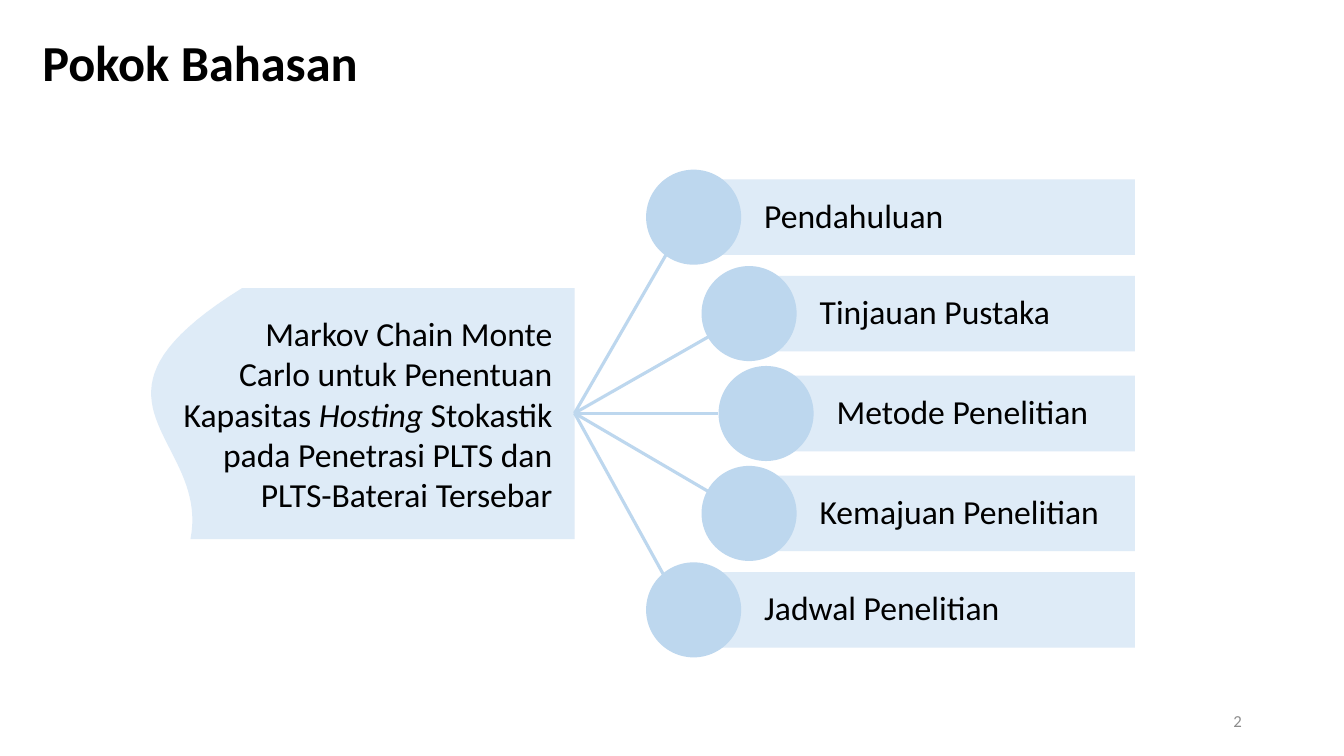
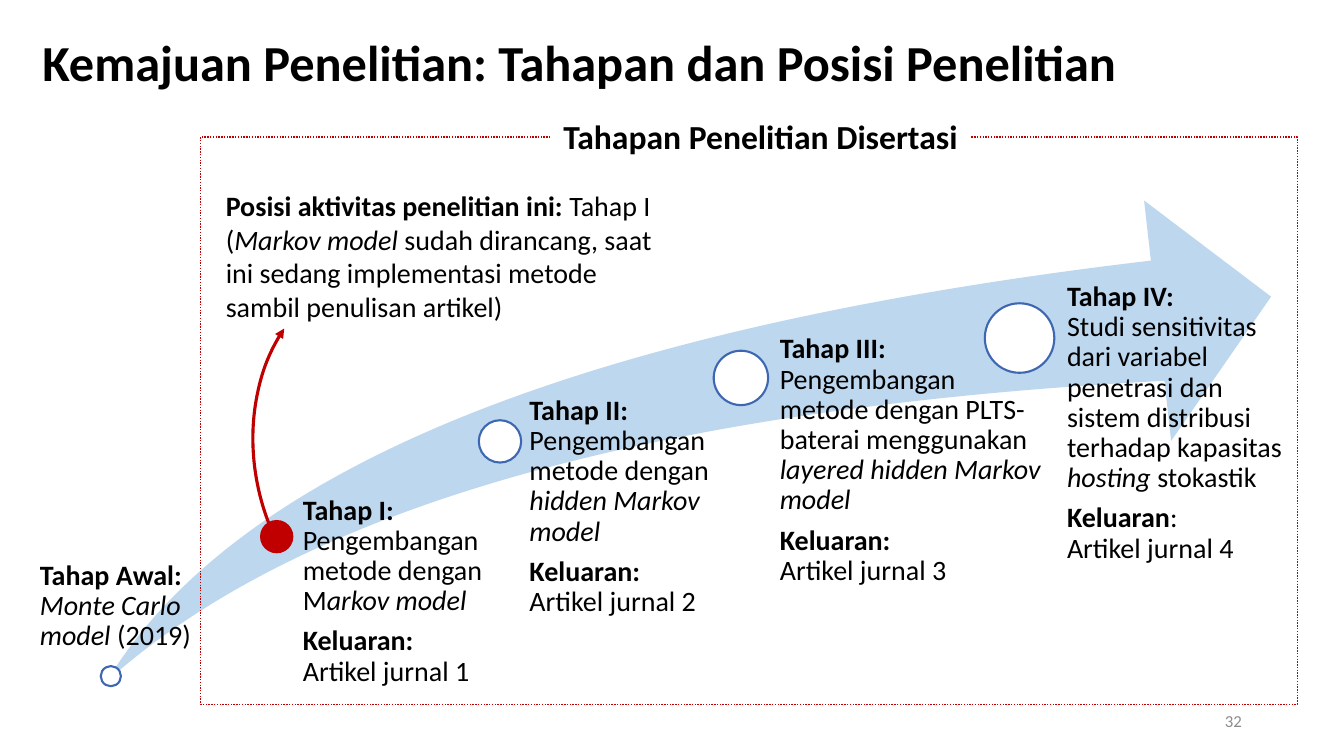
from dataclasses import dataclass
from math import cos, radians, sin
from typing import NamedTuple, Optional

from lxml.etree import SubElement
from pptx import Presentation
from pptx.dml.color import RGBColor
from pptx.enum.dml import MSO_LINE
from pptx.enum.shapes import MSO_CONNECTOR, MSO_SHAPE
from pptx.enum.text import MSO_ANCHOR, PP_ALIGN
from pptx.oxml.ns import qn
from pptx.util import Emu, Inches, Pt

COLUMNS = 40
SLIDE_WIDTH = Inches(13.33)
SLIDE_HEIGHT = Inches(7.5)
CELL = SLIDE_WIDTH / COLUMNS


@dataclass(frozen=True)
class Theme:
    font: str = "Calibri"
    ink: RGBColor = RGBColor(0x00, 0x00, 0x00)
    paper: RGBColor = RGBColor(0xFF, 0xFF, 0xFF)
    muted: RGBColor = RGBColor(0x8C, 0x8C, 0x8C)
    pale: RGBColor = RGBColor(0xDE, 0xEB, 0xF7)
    sky: RGBColor = RGBColor(0xBD, 0xD7, 0xEE)
    outline: RGBColor = RGBColor(0x3E, 0x67, 0xB2)
    accent: RGBColor = RGBColor(0xC0, 0x00, 0x00)
    title_size: int = 36
    heading_size: int = 24
    body_size: int = 20
    number_size: int = 12


THEME = Theme()


class Box(NamedTuple):
    column: float
    row: float
    width: float
    height: float


class Point(NamedTuple):
    column: float
    row: float


class Insets(NamedTuple):
    left: float = 0.3
    top: float = 0.15
    right: float = 0.3
    bottom: float = 0.15


class Span(NamedTuple):
    text: str
    bold: bool = False
    italic: bool = False


@dataclass(frozen=True)
class TextStyle:
    size: int = THEME.body_size
    color: RGBColor = THEME.ink
    align: PP_ALIGN = PP_ALIGN.LEFT
    anchor: MSO_ANCHOR = MSO_ANCHOR.TOP
    spacing: float = 1.0
    after: float = 0
    insets: Insets = Insets()


@dataclass(frozen=True)
class Topic:
    label: str
    angle: float
    spoke_end: Point


@dataclass(frozen=True)
class Stage:
    marker: Point
    diameter: float
    box: Box
    paragraphs: tuple
    current: bool = False


TITLE_BOX = Box(0.96, 0.63, 38, 2.61)
NUMBER_BOX = Box(28.26, 20.85, 9, 1.2)
TITLE_STYLE = TextStyle(THEME.title_size, anchor=MSO_ANCHOR.MIDDLE, spacing=0.9)
NUMBER_STYLE = TextStyle(THEME.number_size, THEME.muted, PP_ALIGN.RIGHT, MSO_ANCHOR.MIDDLE)

HUB = Point(17.1, 12.3)
RING_CENTRE = Point(13.8, 12.31)
RING_RADIUS = 9
BAR_RIGHT = 33.78
BAR_HEIGHT = 2.25
DOT_DIAMETER = 2.83
TOPICS = (
    Topic("Pendahuluan", -40.5, Point(19.89, 7.47)),
    Topic("Tinjauan Pustaka", -19.3, Point(21.36, 9.87)),
    Topic("Metode Penelitian", 0, Point(21.36, 12.3)),
    Topic("Kemajuan Penelitian", 19.3, Point(21.66, 14.97)),
    Topic("Jadwal Penelitian", 40.5, Point(20.19, 17.91)),
)
SUBJECT = (
    Span("Markov Chain Monte\nCarlo untuk Penentuan\nKapasitas "),
    Span("Hosting ", italic=True),
    Span("Stokastik\npada Penetrasi PLTS dan\nPLTS-Baterai Tersebar"),
)


def journal_output(number: int) -> tuple:
    return Span("Keluaran:\n", bold=True), Span(f"Artikel jurnal {number}")


STAGES = (
    Stage(Point(3, 19.83), 0.6, Box(0.87, 16.71, 5.28, 2.94), (
        (Span("Tahap Awal:\n", bold=True), Span("Monte Carlo model ", italic=True),
         Span("(2019)")),
    )),
    Stage(Point(7.77, 15.51), 0.93, Box(8.52, 14.76, 6.63, 6), (
        (Span("Tahap I:\n", bold=True), Span("Pengembangan metode dengan M"),
         Span("arkov model", italic=True)),
        journal_output(1),
    ), current=True),
    Stage(Point(14.25, 12.51), 1.26, Box(15.09, 11.79, 8.67, 9.18), (
        (Span("Tahap II:\n", bold=True), Span("Pengembangan\nmetode dengan\n"),
         Span("hidden Markov\nmodel", italic=True)),
        journal_output(2),
    )),
    Stage(Point(21.24, 10.44), 1.62, Box(22.35, 9.96, 8.67, 10.95), (
        (Span("Tahap III:\n", bold=True),
         Span("Pengembangan metode dengan PLTS-baterai menggunakan "),
         Span("layered hidden Markov model", italic=True)),
        journal_output(3),
    )),
    Stage(Point(29.31, 9.03), 2.07, Box(30.66, 8.4, 7.71, 9.75), (
        (Span("Tahap IV:\n", bold=True),
         Span("Studi sensitivitas dari variabel penetrasi dan sistem distribusi "
              "terhadap kapasitas "),
         Span("hosting ", italic=True), Span("stokastik")),
        (Span("Keluaran", bold=True), Span(":\nArtikel jurnal 4")),
    )),
)
POSITION = (
    Span("Posisi aktivitas penelitian ini: ", bold=True),
    Span("Tahap I\n("),
    Span("Markov model ", italic=True),
    Span("sudah dirancang, saat ini sedang implementasi metode sambil penulisan artikel)"),
)


def cells(*lengths: float) -> list[Emu]:
    return [Emu(round(length * CELL)) for length in lengths]


def write(shape, paragraphs: tuple, style: TextStyle) -> None:
    frame = shape.text_frame
    frame.word_wrap = True
    frame.vertical_anchor = style.anchor
    (frame.margin_left, frame.margin_top,
     frame.margin_right, frame.margin_bottom) = cells(*style.insets)
    for index, spans in enumerate(paragraphs):
        para = frame.add_paragraph() if index else frame.paragraphs[0]
        para.alignment = style.align
        para.line_spacing = style.spacing
        para.space_after = Pt(style.after)
        para.font.name = THEME.font
        para.font.size = Pt(style.size)
        para.font.color.rgb = style.color
        for span in spans:
            for line_index, line in enumerate(span.text.split("\n")):
                if line_index:
                    para.add_line_break()
                if line:
                    run = para.add_run()
                    run.text = line
                    run.font.bold = span.bold
                    run.font.italic = span.italic


def add_text(page, box: Box, paragraphs: tuple, style: TextStyle) -> None:
    write(page.shapes.add_textbox(*cells(*box)), paragraphs, style)


def paint(shape, fill: Optional[RGBColor] = None, line: Optional[RGBColor] = None,
          weight: float = 1.5) -> None:
    shape.shadow.inherit = False
    if fill is None:
        shape.fill.background()
    else:
        shape.fill.solid()
        shape.fill.fore_color.rgb = fill
    if line is None:
        shape.line.fill.background()
    else:
        shape.line.color.rgb = line
        shape.line.width = Pt(weight)


def add_preset(page, preset: MSO_SHAPE, box: Box, fill: Optional[RGBColor] = None,
               line: Optional[RGBColor] = None, weight: float = 1.5):
    shape = page.shapes.add_shape(preset, *cells(*box))
    paint(shape, fill, line, weight)
    return shape


def add_page(deck, title: str, number: int):
    page = deck.slides.add_slide(deck.slide_layouts[6])
    add_text(page, TITLE_BOX, ((Span(title, bold=True),),), TITLE_STYLE)
    add_text(page, NUMBER_BOX, ((Span(str(number)),),), NUMBER_STYLE)
    return page


def curve(start: Point, first: Point, second: Point, end: Point, steps: int = 40) -> list:
    points = []
    for step in range(1, steps + 1):
        t = step / steps
        weights = ((1 - t) ** 3, 3 * t * (1 - t) ** 2, 3 * t * t * (1 - t), t ** 3)
        controls = (start, first, second, end)
        points.append(Point(*(sum(w * p[axis] for w, p in zip(weights, controls))
                              for axis in (0, 1))))
    return points


def add_flag(page) -> None:
    top_left, bottom_left = Point(7.2, 8.58), Point(5.67, 16.05)
    wave = curve(bottom_left, Point(6.27, 13.02), Point(1.8, 11.94), top_left)
    outline = [Point(HUB.column, top_left.row), Point(HUB.column, bottom_left.row),
               bottom_left, *wave]
    builder = page.shapes.build_freeform(*cells(*top_left))
    builder.add_line_segments([tuple(cells(*point)) for point in outline], close=True)
    paint(builder.convert_to_shape(), THEME.pale)


def add_spoke(page, end: Point) -> None:
    spoke = page.shapes.add_connector(MSO_CONNECTOR.STRAIGHT, *cells(*HUB, *end))
    spoke.line.color.rgb = THEME.sky
    spoke.line.width = Pt(2.25)
    SubElement(spoke._element.spPr, qn("a:effectLst"))


def add_topic(page, topic: Topic) -> None:
    column = RING_CENTRE.column + RING_RADIUS * cos(radians(topic.angle))
    row = RING_CENTRE.row + RING_RADIUS * sin(radians(topic.angle))
    bar = add_preset(page, MSO_SHAPE.RECTANGLE,
                     Box(column, row - BAR_HEIGHT / 2, BAR_RIGHT - column, BAR_HEIGHT),
                     THEME.pale)
    write(bar, ((Span(topic.label),),),
          TextStyle(THEME.heading_size, anchor=MSO_ANCHOR.MIDDLE, spacing=0.9,
                    insets=Insets(2.1, 0.2, 0, 0.2)))
    add_preset(page, MSO_SHAPE.OVAL,
               Box(column - DOT_DIAMETER / 2, row - DOT_DIAMETER / 2,
                   DOT_DIAMETER, DOT_DIAMETER), THEME.sky)


def add_stage(page, stage: Stage) -> None:
    add_preset(page, MSO_SHAPE.OVAL, Box(*stage.marker, stage.diameter, stage.diameter),
               THEME.accent if stage.current else THEME.paper,
               THEME.accent if stage.current else THEME.outline)
    add_text(page, stage.box, stage.paragraphs,
             TextStyle(spacing=0.9, after=7, insets=Insets(0.53 * stage.diameter, 0, 0, 0)))


def build_topics(deck) -> None:
    page = add_page(deck, "Pokok Bahasan", 2)
    add_flag(page)
    for topic in TOPICS:
        add_spoke(page, topic.spoke_end)
    for topic in TOPICS:
        add_topic(page, topic)
    add_text(page, Box(4.14, 8.91, 12.6, 6.81), (SUBJECT,),
             TextStyle(THEME.heading_size, align=PP_ALIGN.RIGHT, anchor=MSO_ANCHOR.MIDDLE))


def build_stages(deck) -> None:
    page = add_page(deck, "Kemajuan Penelitian: Tahapan dan Posisi Penelitian", 32)
    swoosh = add_preset(page, MSO_SHAPE.SWOOSH_ARROW, Box(3.18, 5.97, 34.65, 14.31), THEME.sky)
    swoosh.adjustments[0] = swoosh.adjustments[1] = 0.25
    for stage in STAGES:
        add_stage(page, stage)
    frame = add_preset(page, MSO_SHAPE.RECTANGLE, Box(5.97, 4.08, 32.64, 16.89),
                       line=THEME.accent, weight=1)
    frame.line.dash_style = MSO_LINE.ROUND_DOT
    pointer = add_preset(page, MSO_SHAPE.ARC, Box(6.51, 8.94, 11.58, 9.39),
                         line=THEME.accent, weight=2.25)
    pointer.rotation = 255.3
    pointer.adjustments[0], pointer.adjustments[1] = 155.18, 197.88
    SubElement(pointer._element.spPr.find(qn("a:ln")), qn("a:tailEnd"), type="triangle")
    add_text(page, Box(6.42, 5.46, 13.53, 4.35), (POSITION,), TextStyle())
    caption = add_preset(page, MSO_SHAPE.RECTANGLE, Box(16.38, 3.3, 12.51, 1.5), THEME.paper)
    write(caption, ((Span("Tahapan Penelitian Disertasi", bold=True),),),
          TextStyle(THEME.heading_size, align=PP_ALIGN.CENTER))


def main() -> None:
    deck = Presentation()
    deck.slide_width, deck.slide_height = SLIDE_WIDTH, SLIDE_HEIGHT
    build_topics(deck)
    build_stages(deck)
    deck.save("out.pptx")


if __name__ == "__main__":
    main()
